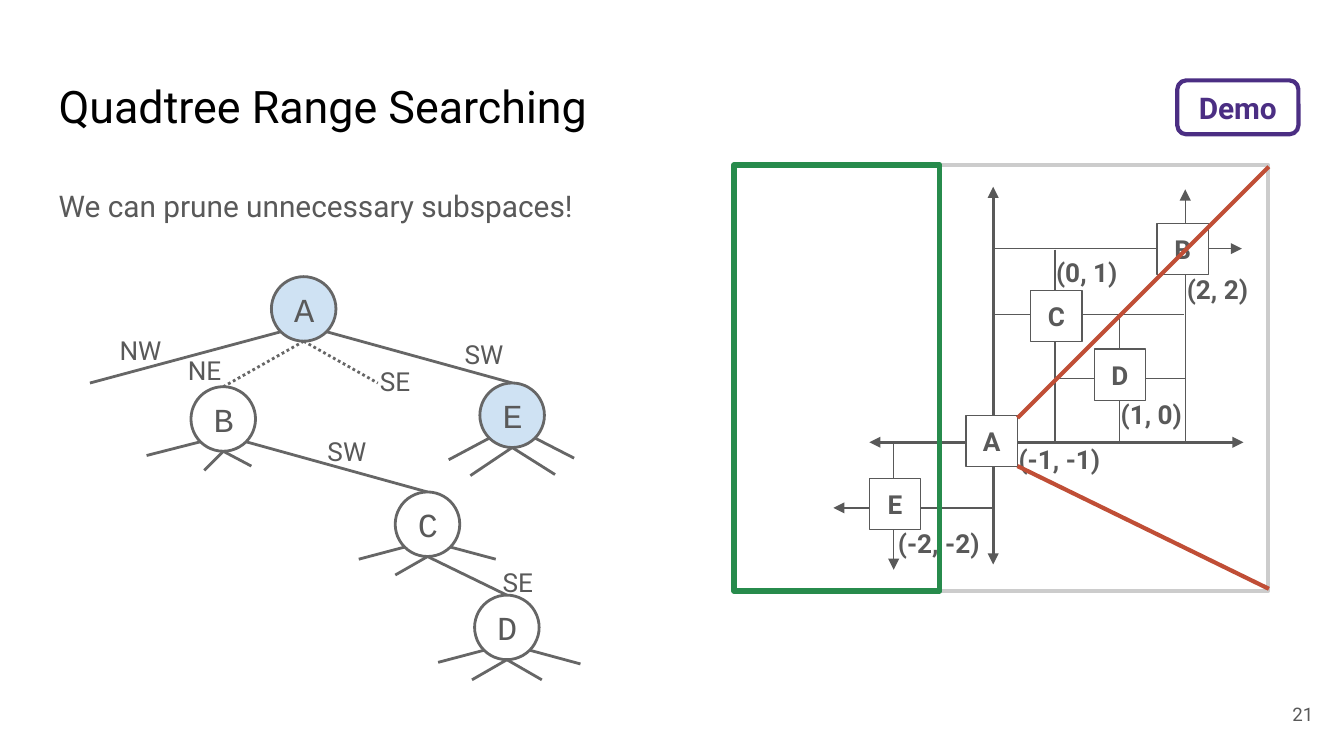
from dataclasses import dataclass

from lxml.etree import SubElement
from pptx import Presentation
from pptx.dml.color import RGBColor
from pptx.enum.dml import MSO_LINE
from pptx.enum.shapes import MSO_CONNECTOR, MSO_SHAPE
from pptx.enum.text import MSO_ANCHOR, PP_ALIGN
from pptx.oxml.ns import qn
from pptx.util import Cm, Pt


@dataclass(frozen=True)
class Theme:
    sans: str = "Roboto"
    mono: str = "Courier New"
    black: str = "000000"
    white: str = "FFFFFF"
    gray: str = "595959"
    branch: str = "666666"
    border: str = "CCCCCC"
    visited: str = "CFE2F3"
    purple: str = "4B2E83"
    green: str = "278B4C"
    red: str = "C04E36"
    title: int = 24
    node: int = 18
    body: int = 16
    label: int = 14
    number: int = 10
    thin: float = 0.75
    medium: float = 1.5
    thick: float = 2.25
    heavy: float = 3


class Deck:
    def __init__(self, theme):
        self.theme = theme
        self.prs = Presentation()
        self.prs.slide_width, self.prs.slide_height = Cm(25.4), Cm(14.29)
        self.slide = self.prs.slides.add_slide(self.prs.slide_layouts[6])

    def fill_text(self, sp, text, size, color, font, bold=False, align=PP_ALIGN.LEFT,
                  anchor=MSO_ANCHOR.TOP, inset=0.25):
        tf = sp.text_frame
        tf.word_wrap = True
        tf.vertical_anchor = anchor
        tf.margin_left = tf.margin_right = tf.margin_top = tf.margin_bottom = Cm(inset)
        p = tf.paragraphs[0]
        p.text = text
        p.alignment = align
        p.font.name, p.font.size, p.font.bold = font, Pt(size), bold
        p.font.color.rgb = RGBColor.from_string(color)
        return p

    def text(self, text, x, y, w, h, size, color=None, **style):
        sp = self.slide.shapes.add_textbox(Cm(x), Cm(y), Cm(w), Cm(h))
        return self.fill_text(sp, text, size, color or self.theme.gray, self.theme.sans, **style)

    def shape(self, kind, x, y, w, h, line, width, fill=None):
        sp = self.slide.shapes.add_shape(kind, Cm(x), Cm(y), Cm(w), Cm(h))
        sp.shadow.inherit = False
        if fill:
            sp.fill.solid()
            sp.fill.fore_color.rgb = RGBColor.from_string(fill)
        else:
            sp.fill.background()
        sp.line.color.rgb = RGBColor.from_string(line)
        sp.line.width = Pt(width)
        return sp

    def box(self, kind, text, x, y, w, h, line, width, fill, size, color, font, bold):
        sp = self.shape(kind, x, y, w, h, line, width, fill)
        self.fill_text(sp, text, size, color, font, bold, PP_ALIGN.CENTER, MSO_ANCHOR.MIDDLE)

    def line(self, start, end, color, width, arrows=(), dotted=False):
        cn = self.slide.shapes.add_connector(
            MSO_CONNECTOR.STRAIGHT, *(Cm(v) for v in (*start, *end)))
        cn.line.color.rgb = RGBColor.from_string(color)
        cn.line.width = Pt(width)
        if dotted:
            cn.line.dash_style = MSO_LINE.ROUND_DOT
        props = cn.element.spPr
        for tag in arrows:
            SubElement(props.find(qn("a:ln")), qn(f"a:{tag}"), type="triangle")
        SubElement(props, qn("a:effectLst"))

    def node(self, name, center, fill):
        t = self.theme
        x, y = center
        self.box(MSO_SHAPE.OVAL, name, x - RADIUS, y - RADIUS, 2 * RADIUS, 2 * RADIUS,
                 t.branch, t.medium, fill, t.node, t.gray, t.mono, False)

    def branches(self, center, targets, dotted):
        ports = (-0.43, 0.43), (0, RADIUS), (0, RADIUS), (0.43, 0.43)
        for i, ((dx, dy), target) in enumerate(zip(ports, targets)):
            if isinstance(target, str):
                x, y = NODES[target]
                target = x, y - RADIUS
            self.line((center[0] + dx, center[1] + dy), target, self.theme.branch,
                      self.theme.medium, dotted=dotted and i in (1, 2))

    def point(self, name, corner, coords, coords_at):
        t = self.theme
        self.box(MSO_SHAPE.RECTANGLE, name, *corner, 0.97, 0.97,
                 t.gray, t.thin, t.white, t.label, t.gray, t.sans, True)
        self.text(coords, *coords_at, 2.01, 0.79, t.label, bold=True, inset=0)


RADIUS = 0.61
HEAD, TAIL = "headEnd", "tailEnd"

NODES = {"A": (5.74, 5.84), "B": (4.22, 7.92), "C": (8.08, 9.91),
         "D": (9.58, 11.86), "E": (9.68, 7.85)}
BRANCHES = {
    "A": [(1.7, 7.24), "B", (7.14, 7.24), "E"],
    "B": [(2.77, 8.61), (3.86, 8.89), (4.75, 8.81), "C"],
    "C": [(6.78, 10.57), (7.47, 10.87), "D", (9.37, 10.57)],
    "D": [(8.28, 12.52), (8.92, 12.85), (10.24, 12.85), (10.97, 12.55)],
    "E": [(8.48, 8.69), (8.89, 8.99), (10.49, 8.97), (10.85, 8.66)],
}
DIRECTIONS = [("NW", 2.01, 6.07), ("NE", 3.3, 6.45), ("SE", 6.93, 6.65),
              ("SW", 8.53, 6.15), ("SW", 5.94, 7.98), ("SE", 9.25, 10.46)]

POINTS = [
    ("A", (18.26, 7.85), "(-1, -1)", (19.25, 8.38)),
    ("B", (21.87, 4.22), "(2, 2)", (22.43, 5.16)),
    ("C", (19.48, 5.49), "(0, 1)", (19.96, 4.85)),
    ("D", (20.68, 6.6), "(1, 0)", (21.18, 7.54)),
    ("E", (16.43, 9.04), "(-2, -2)", (16.97, 9.96)),
]
SPLITS = {
    "A": [((18.77, 3.53), (18.77, 10.67), (HEAD, TAIL)),
          ((16.43, 8.36), (23.5, 8.36), (HEAD, TAIL))],
    "B": [((18.8, 4.7), (23.47, 4.7), (TAIL,)), ((22.4, 8.33), (22.4, 3.58), (TAIL,))],
    "C": [((18.8, 5.94), (22.38, 5.94), ()), ((19.94, 4.72), (19.94, 8.36), ())],
    "D": [((19.94, 7.16), (22.4, 7.16), ()), ((21.16, 8.36), (21.16, 5.97), ())],
    "E": [((15.75, 9.6), (18.77, 9.6), (HEAD,)), ((16.89, 8.38), (16.89, 10.77), (TAIL,))],
}
PRUNED = [((19.23, 7.9), (23.98, 3.15)), ((19.23, 8.81), (23.98, 11.13))]


def main():
    t = Theme()
    deck = Deck(t)

    deck.text("Quadtree Range Searching", 0.86, 1.24, 10.97, 1.6, t.title, t.black)
    p = deck.text("We can prune unnecessary subspaces!", 0.86, 3.2, 10.97, 1.14, t.body)
    p.line_spacing = 1.15
    p.space_after = Pt(8)
    deck.text("21", 23.55, 12.95, 1.52, 1.09, t.number,
              align=PP_ALIGN.RIGHT, anchor=MSO_ANCHOR.MIDDLE)

    for name, center in NODES.items():
        deck.node(name, center, t.visited if name in "AE" else t.white)
        deck.branches(center, BRANCHES[name], dotted=name == "A")
    for name, x, y in DIRECTIONS:
        deck.text(name, x, y, 1.45, 0.84, t.label)

    deck.shape(MSO_SHAPE.RECTANGLE, 13.89, 3.12, 10.08, 8.05, t.border, t.thick, t.white)
    for name, corner, coords, coords_at in POINTS:
        for start, end, arrows in SPLITS[name]:
            deck.line(start, end, t.gray, t.medium if name == "A" else t.thin, arrows)
        deck.point(name, corner, coords, coords_at)

    deck.box(MSO_SHAPE.ROUNDED_RECTANGLE, "Demo", 22.25, 1.52, 2.29, 1.02,
             t.purple, t.thick, t.white, t.body, t.purple, t.sans, True)
    deck.shape(MSO_SHAPE.RECTANGLE, 13.87, 3.12, 3.89, 8.05, t.green, t.heavy)
    for start, end in PRUNED:
        deck.line(start, end, t.red, t.thick)

    deck.prs.save("out.pptx")


if __name__ == "__main__":
    main()
